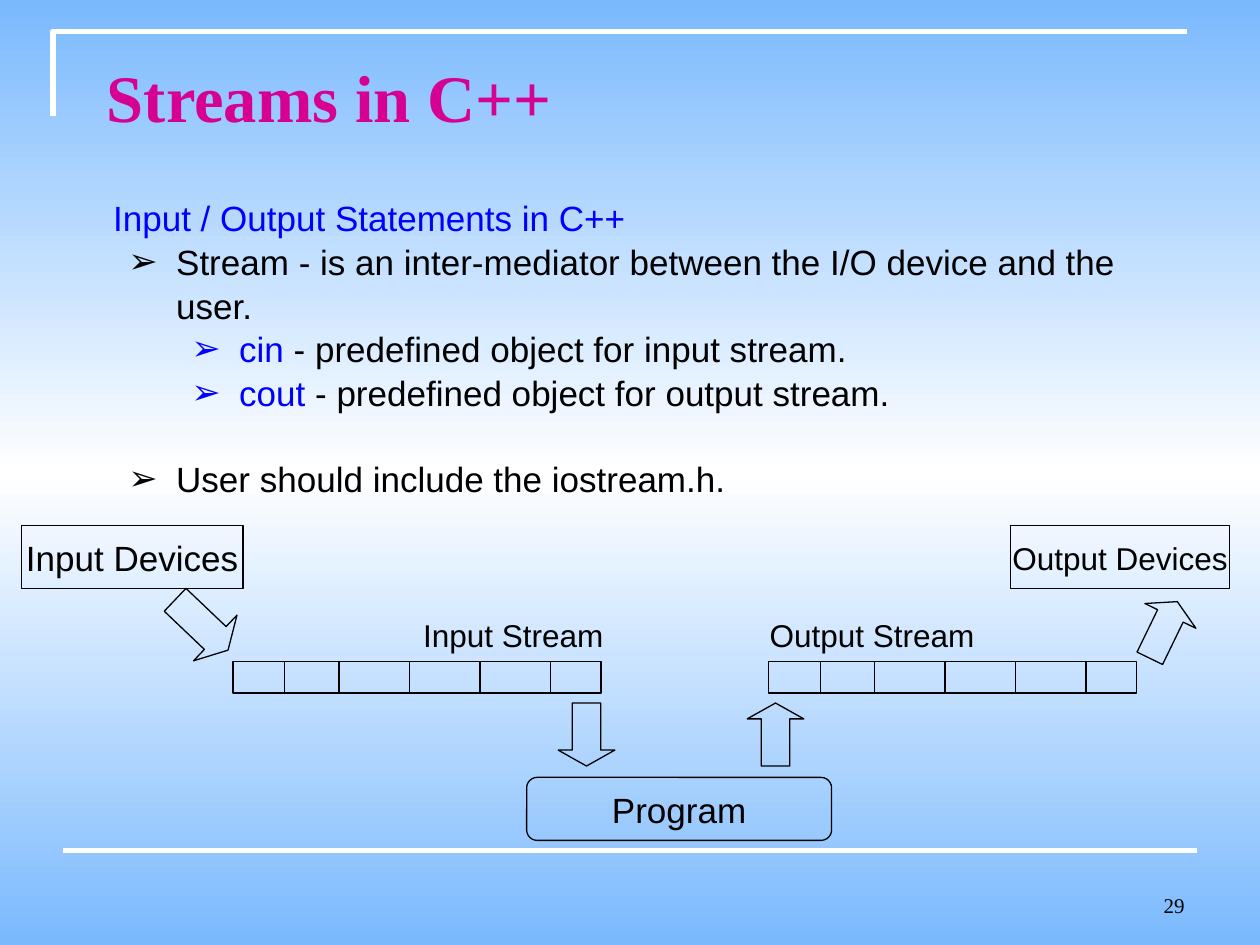
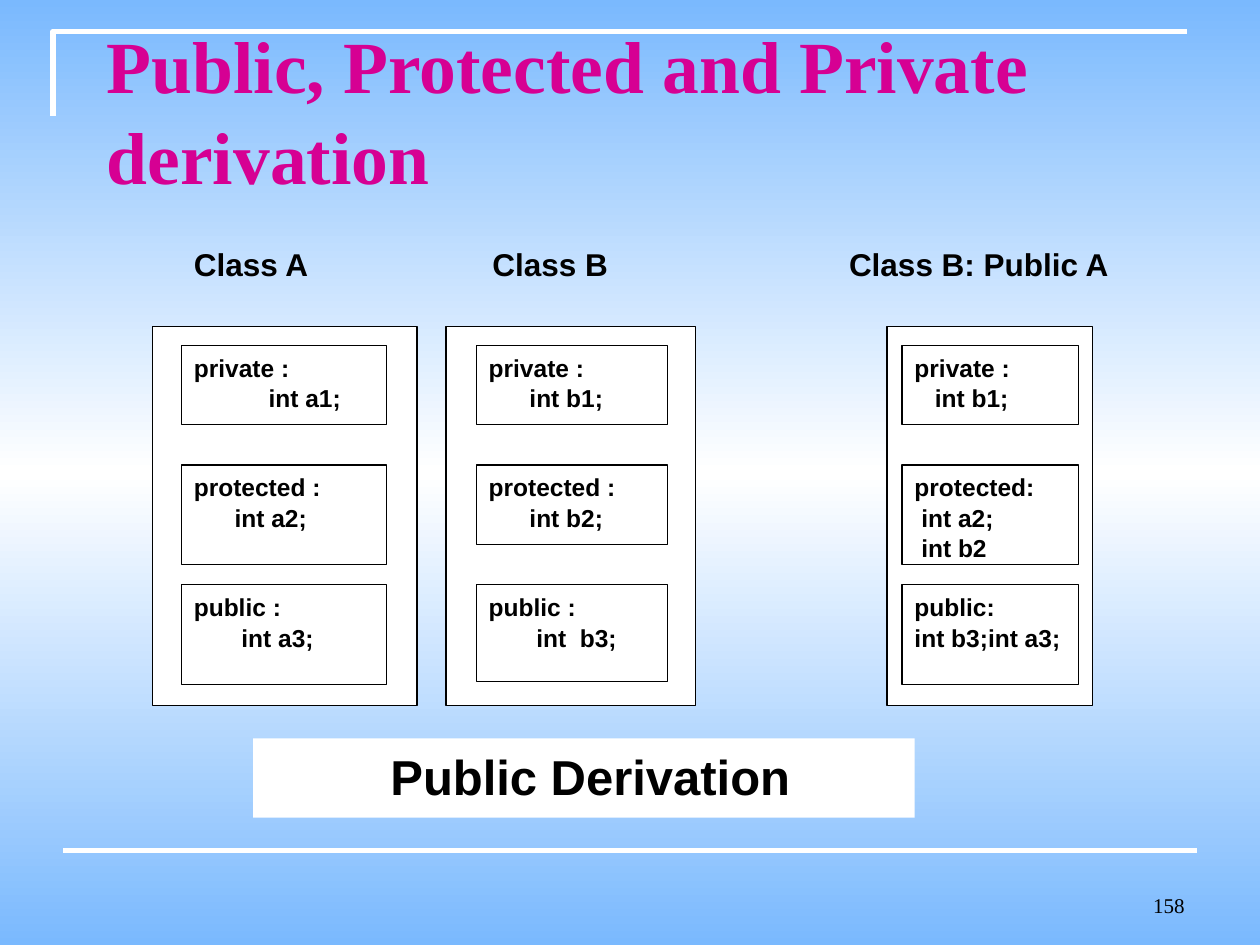
from dataclasses import dataclass

from lxml import etree
from pptx import Presentation
from pptx.dml.color import RGBColor
from pptx.enum.shapes import MSO_CONNECTOR, MSO_SHAPE
from pptx.enum.text import MSO_ANCHOR, PP_ALIGN
from pptx.oxml.ns import qn
from pptx.util import Inches, Pt

RECTANGLE = MSO_SHAPE.RECTANGLE
ROUNDED = MSO_SHAPE.ROUNDED_RECTANGLE
DOWN = MSO_SHAPE.DOWN_ARROW
UP = MSO_SHAPE.UP_ARROW
STRAIGHT = MSO_CONNECTOR.STRAIGHT
LEFT, CENTER, RIGHT = PP_ALIGN.LEFT, PP_ALIGN.CENTER, PP_ALIGN.RIGHT
TOP, MIDDLE, BOTTOM = MSO_ANCHOR.TOP, MSO_ANCHOR.MIDDLE, MSO_ANCHOR.BOTTOM


@dataclass(frozen=True)
class Theme:
    sky: str = "7AB9FE"
    white: str = "FFFFFF"
    ink: str = "000000"
    keyword: str = "0000FF"
    title: str = "D60093"
    sans: str = "Arial"
    serif: str = "Times New Roman"
    number_size: int = 12
    code_size: int = 14
    label_size: int = 18
    body_size: int = 20
    caption_size: int = 28
    short_title_size: int = 38
    long_title_size: int = 42
    thin: float = 0.75
    thick: float = 3
    line_spacing: float = 1.04


@dataclass(frozen=True)
class Box:
    left: float
    top: float
    width: float
    height: float

    def inner(self, left, top, width, height):
        return Box(self.left + left, self.top + top, width, height)

    def lengths(self):
        return [Inches(v) for v in (self.left, self.top, self.width, self.height)]


THEME = Theme()
PAGE = Box(0, 0, 10, 7.5)


def color(value):
    return RGBColor.from_string(value)


def add_run(paragraph, text, size, ink=THEME.ink, font=THEME.sans, bold=False):
    run = paragraph.add_run()
    run.text = text
    run.font.size = Pt(size)
    run.font.name = font
    run.font.bold = bold
    run.font.color.rgb = color(ink)


def next_paragraph(frame, index, align=LEFT):
    paragraph = frame.add_paragraph() if index else frame.paragraphs[0]
    paragraph.alignment = align
    paragraph.line_spacing = THEME.line_spacing
    return paragraph


def indent(paragraph, left, hanging=0.0):
    properties = paragraph._p.get_or_add_pPr()
    properties.set("marL", str(Inches(left)))
    properties.set("indent", str(-Inches(hanging)))
    return properties


def add_bullet(paragraph, level, ink):
    paragraph.level = level
    properties = indent(paragraph, 0.38 + 0.5 * level, 0.38)
    bullet_color = etree.SubElement(properties, qn("a:buClr"))
    etree.SubElement(bullet_color, qn("a:srgbClr"), val=ink)
    etree.SubElement(properties, qn("a:buFont"), typeface=THEME.sans)
    etree.SubElement(properties, qn("a:buChar"), char="➢")


def add_text(slide, box, anchor=TOP):
    frame = slide.shapes.add_textbox(*box.lengths()).text_frame
    frame.word_wrap = True
    frame.vertical_anchor = anchor
    return frame


def add_label(slide, box, text, size, align=LEFT, anchor=TOP, **style):
    frame = add_text(slide, box, anchor)
    add_run(next_paragraph(frame, 0, align), text, size, **style)


def add_outline(slide, box, kind=RECTANGLE, fill=None, line=THEME.ink):
    shape = slide.shapes.add_shape(kind, *box.lengths())
    shape.shadow.inherit = False
    if fill:
        shape.fill.solid()
        shape.fill.fore_color.rgb = color(fill)
    else:
        shape.fill.background()
    if line:
        shape.line.color.rgb = color(line)
        shape.line.width = Pt(THEME.thin)
    else:
        shape.line.fill.background()
    return shape


def add_line(slide, start, end, ink=THEME.ink, width=THEME.thin):
    points = [Inches(v) for v in (*start, *end)]
    connector = slide.shapes.add_connector(STRAIGHT, *points)
    connector.line.color.rgb = color(ink)
    connector.line.width = Pt(width)
    etree.SubElement(connector._element.spPr, qn("a:effectLst"))


def paint_background(slide):
    fill = slide.background.fill
    fill.gradient()
    fill.gradient_angle = 270
    stops = next(slide.element.iter(qn("a:gsLst")))
    for stop in list(stops):
        stops.remove(stop)
    for percent, ink in ((0, THEME.sky), (50, THEME.white), (100, THEME.sky)):
        stop = etree.SubElement(stops, qn("a:gs"), pos=str(percent * 1000))
        etree.SubElement(stop, qn("a:srgbClr"), val=ink)


def add_frame(slide, box):
    left, top = box.left + 0.42, box.top + 0.25
    builder = slide.shapes.build_freeform(Inches(left), Inches(top + 0.67))
    corner = [(left, top), (left + 9, top)]
    builder.add_line_segments([(Inches(x), Inches(y)) for x, y in corner], close=False)
    shape = builder.convert_to_shape()
    shape.shadow.inherit = False
    shape.fill.background()
    shape.line.color.rgb = color(THEME.white)
    shape.line.width = Pt(THEME.thick)
    bottom = box.top + 6.75
    add_line(slide, (box.left + 0.5, bottom), (box.left + 9.5, bottom),
             THEME.white, THEME.thick)


def start_slide(presentation, title, title_box, title_size, number):
    slide = presentation.slides.add_slide(presentation.slide_layouts[6])
    paint_background(slide)
    add_frame(slide, PAGE)
    add_label(slide, title_box, title, title_size, anchor=MIDDLE,
              ink=THEME.title, font=THEME.serif, bold=True)
    add_label(slide, PAGE.inner(7.17, 6.83, 2.33, 0.5), number, THEME.number_size,
              align=RIGHT, anchor=BOTTOM, font=THEME.serif)
    return slide


def add_statements(slide, box):
    frame = add_text(slide, box)
    heading = next_paragraph(frame, 0)
    indent(heading, 0.38)
    add_run(heading, "Input / Output Statements in C++", THEME.body_size, THEME.keyword)
    items = [
        (1, "", "Stream - is an inter-mediator between the I/O device and the user.", 0),
        (2, "cin", " - predefined object for input stream.", 0),
        (2, "cout", " - predefined object for output stream.", 0),
        (1, "", "User should include the iostream.h.", 24),
    ]
    for index, (level, keyword, text, gap) in enumerate(items, 1):
        paragraph = next_paragraph(frame, index)
        add_bullet(paragraph, level, THEME.keyword if keyword else THEME.ink)
        paragraph.space_before = Pt(gap)
        if keyword:
            add_run(paragraph, keyword, THEME.body_size, THEME.keyword)
        add_run(paragraph, text, THEME.body_size)


def add_node(slide, box, text, size, kind=RECTANGLE):
    frame = add_outline(slide, box, kind).text_frame
    frame.word_wrap = False
    frame.vertical_anchor = MIDDLE
    add_run(next_paragraph(frame, 0, CENTER), text, size)


def add_buffer(slide, box):
    add_outline(slide, box)
    for offset in (0.41, 0.84, 1.4, 1.96, 2.52):
        x = box.left + offset
        add_line(slide, (x, box.top), (x, box.top + box.height))


def add_arrow(slide, box, kind, rotation=0):
    arrow = add_outline(slide, box, kind)
    arrow.adjustments[0] = 0.5
    arrow.adjustments[1] = 0.28
    arrow.rotation = rotation


def add_stream_diagram(slide, box):
    add_node(slide, box.inner(0, 0, 1.76, 0.5), "Input Devices", THEME.body_size)
    add_node(slide, box.inner(7.85, 0, 1.74, 0.5), "Output Devices", THEME.label_size)
    add_node(slide, box.inner(4.01, 2, 2.42, 0.5), "Program", THEME.body_size, ROUNDED)
    for left in (1.68, 5.93):
        add_buffer(slide, box.inner(left, 1.08, 2.92, 0.25))
    for left, text in ((3.09, "Input Stream"), (5.84, "Output Stream")):
        add_label(slide, box.inner(left, 0.66, 1.83, 0.4), text, THEME.label_size)
    add_arrow(slide, box.inner(1.18, 0.5, 0.5, 0.58), DOWN, 313.6)
    add_arrow(slide, box.inner(4.26, 1.41, 0.45, 0.5), DOWN)
    add_arrow(slide, box.inner(5.76, 1.41, 0.45, 0.5), UP)
    add_arrow(slide, box.inner(8.84, 0.58, 0.45, 0.5), UP, 25.9)


def add_class_panel(slide, box, margin, member_width, members):
    add_outline(slide, box, fill=THEME.white)
    for row, (height, lines) in enumerate(members):
        member_box = box.inner(margin, 0.15 + 0.95 * row, member_width, height)
        frame = add_outline(slide, member_box, fill=THEME.white).text_frame
        frame.word_wrap = True
        frame.vertical_anchor = TOP
        for index, line in enumerate(lines):
            add_run(next_paragraph(frame, index), line, THEME.code_size, bold=True)


def add_caption(slide, box, text):
    frame = add_outline(slide, box, fill=THEME.white, line=None).text_frame
    frame.vertical_anchor = TOP
    paragraph = next_paragraph(frame, 0, CENTER)
    indent(paragraph, 0.1)
    add_run(paragraph, text, THEME.caption_size, bold=True)


def add_derivation_diagram(slide, box):
    panels = [
        ("Class A", 0.23, 0, 2.1, 0.23, 1.63, [
            (0.63, ["private :", "           int a1;"]),
            (0.79, ["protected :", "      int a2;"]),
            (0.79, ["public :", "       int a3;"])]),
        ("Class B", 2.6, 2.33, 1.98, 0.24, 1.52, [
            (0.63, ["private :", "      int b1;"]),
            (0.63, ["protected :", "      int b2;"]),
            (0.77, ["public :", "       int  b3;"])]),
        ("Class B: Public A", 5.43, 5.83, 1.63, 0.12, 1.4, [
            (0.63, ["private :", "   int b1;"]),
            (0.79, ["protected:", " int a2;", " int b2"]),
            (0.79, ["public:", "int b3;int a3;"])]),
    ]
    for name, name_left, left, width, margin, member_width, members in panels:
        add_label(slide, box.inner(name_left, 0, 2.4, 0.4), name,
                  THEME.label_size, bold=True)
        add_class_panel(slide, box.inner(left, 0.71, width, 3.01),
                        margin, member_width, members)
    add_caption(slide, box.inner(0.8, 3.98, 5.25, 0.63), "Public Derivation")


def build_streams_slide(presentation):
    slide = start_slide(presentation, "Streams in C++",
                        PAGE.inner(0.75, 0.25, 8.92, 1), THEME.short_title_size, "29")
    add_statements(slide, PAGE.inner(0.42, 1.5, 9, 2.44))
    add_stream_diagram(slide, PAGE.inner(0.17, 4.17, 9.59, 2.5))


def build_derivation_slide(presentation):
    slide = start_slide(presentation, "Public, Protected and Private derivation",
                        PAGE.inner(0.75, 0.42, 8.75, 0.87), THEME.long_title_size, "158")
    add_derivation_diagram(slide, PAGE.inner(1.21, 1.88, 7.46, 4.61))


def main():
    presentation = Presentation()
    presentation.slide_width = Inches(PAGE.width)
    presentation.slide_height = Inches(PAGE.height)
    build_streams_slide(presentation)
    build_derivation_slide(presentation)
    presentation.save("out.pptx")


if __name__ == "__main__":
    main()
